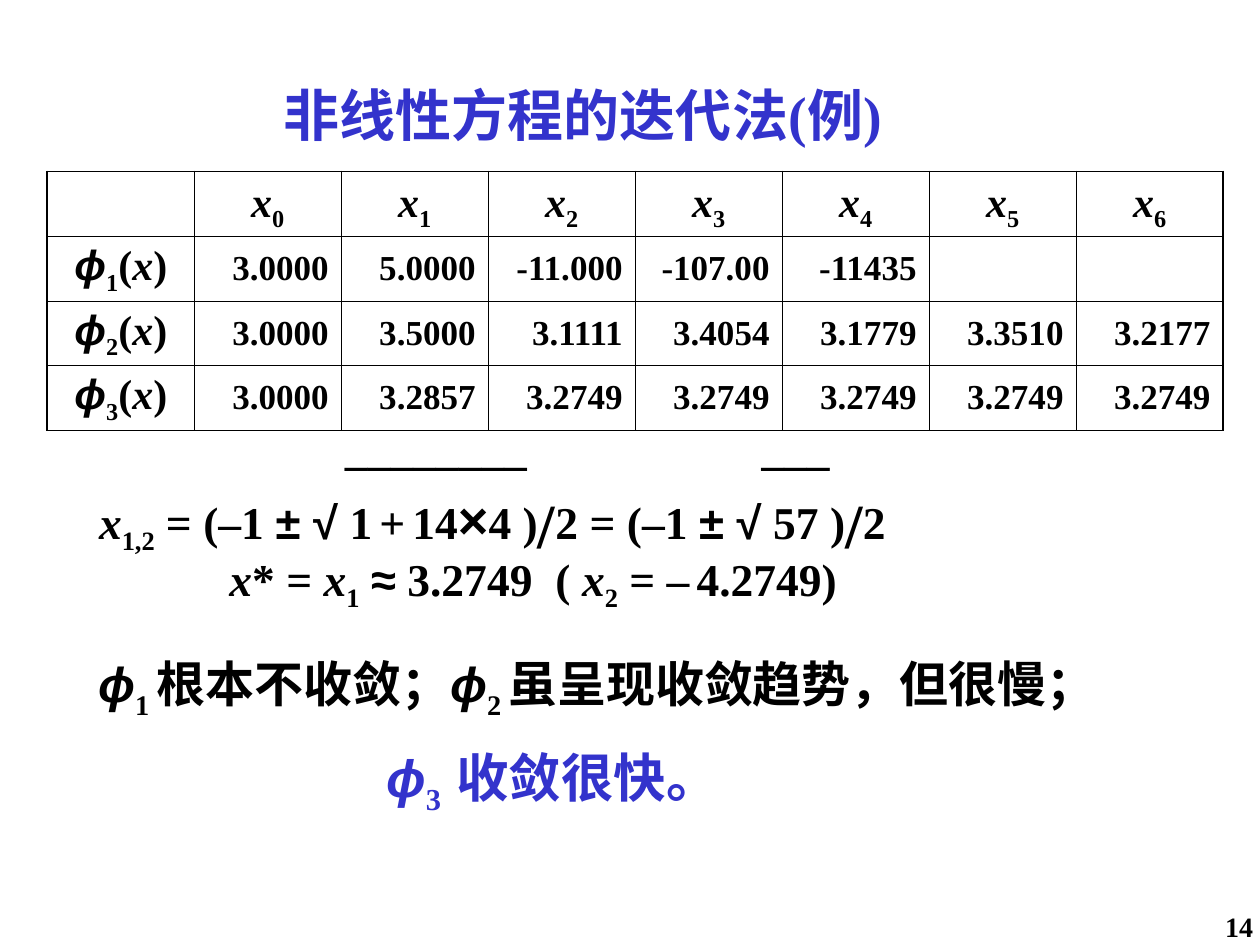
from dataclasses import dataclass

from lxml import etree
from pptx import Presentation
from pptx.dml.color import RGBColor
from pptx.enum.lang import MSO_LANGUAGE_ID
from pptx.enum.text import MSO_ANCHOR, MSO_AUTO_SIZE, PP_ALIGN
from pptx.oxml.ns import qn
from pptx.util import Pt

LEFT, CENTER, RIGHT = PP_ALIGN.LEFT, PP_ALIGN.CENTER, PP_ALIGN.RIGHT
TOP, MIDDLE = MSO_ANCHOR.TOP, MSO_ANCHOR.MIDDLE
NO_AUTOFIT = MSO_AUTO_SIZE.NONE
CHINESE = MSO_LANGUAGE_ID.SIMPLIFIED_CHINESE
TITLE_ONLY = 5


@dataclass(frozen=True)
class Theme:
    serif: str = "Times New Roman"
    sans: str = "Arial"
    ink: RGBColor = RGBColor(0, 0, 0)
    accent: RGBColor = RGBColor(0x33, 0x33, 0xCC)
    title: int = 32
    verdict: int = 30
    finding: int = 28
    formula: int = 26
    symbol: int = 24
    value: int = 20
    page: int = 16
    times_sign: int = 30
    slash: int = 62
    narrow_space: int = 16
    outer_line: float = 1.08
    inner_line: float = 0.45


THEME = Theme()


@dataclass(frozen=True)
class Span:
    """A piece of text; size None means the size of its line."""
    text: str
    italic: bool = False
    baseline: int = 0
    font: str = THEME.serif
    size: int | None = None


def sub(text):
    return Span(text, baseline=-25)


def sans(text, size=None):
    return Span(text, font=THEME.sans, size=size)


X = Span("x", italic=True)
PHI = Span("ϕ", italic=True, font=THEME.sans)
SLASH = Span("/", baseline=-8, size=THEME.slash)
NARROW_SPACE = Span(" ", size=THEME.narrow_space)

ITERATES = [
    ["3.0000", "5.0000", "-11.000", "-107.00", "-11435", "", ""],
    ["3.0000", "3.5000", "3.1111", "3.4054", "3.1779", "3.3510", "3.2177"],
    ["3.0000", "3.2857", "3.2749", "3.2749", "3.2749", "3.2749", "3.2749"],
]


def write(paragraph, spans, size, color=THEME.ink, align=LEFT, spacing=1.0):
    paragraph.alignment = align
    paragraph.line_spacing = spacing
    for span in spans:
        run = paragraph.add_run()
        run.text = span.text
        font = run.font
        font.name, font.size = span.font, Pt(span.size or size)
        font.bold, font.italic = True, span.italic
        font.color.rgb = color
        font.language_id = CHINESE
        if span.baseline:
            run._r.get_or_add_rPr().set("baseline", str(span.baseline * 1000))


def add_title(slide, text):
    title = slide.shapes.title
    title.left, title.top, title.width, title.height = Pt(155), Pt(47), Pt(434), Pt(36)
    frame = title.text_frame
    frame.auto_size, frame.word_wrap = NO_AUTOFIT, False
    frame.vertical_anchor = MIDDLE
    write(frame.paragraphs[0], [Span(text)], THEME.title, THEME.accent)


def add_line(slide, left, top, width, spans, size, color=THEME.ink):
    """Add one unwrapped line of text and return its paragraph."""
    box = slide.shapes.add_textbox(Pt(left), Pt(top), Pt(width), Pt(44))
    frame = box.text_frame
    frame.word_wrap = False
    frame.vertical_anchor = MIDDLE
    write(frame.paragraphs[0], spans, size, color, spacing=1.2)
    return frame.paragraphs[0]


def add_tab_stop(paragraph, position):
    stops = etree.SubElement(paragraph._p.get_or_add_pPr(), qn("a:tabLst"))
    etree.SubElement(stops, qn("a:tab"), pos=str(Pt(position)), algn="l")


def set_borders(cell, widths):
    """Draw left, right, top and bottom borders of the given widths."""
    properties = cell._tc.get_or_add_tcPr()
    for index, (side, width) in enumerate(zip("LRTB", widths)):
        line = etree.Element(qn(f"a:ln{side}"), w=str(Pt(width)))
        fill = etree.SubElement(line, qn("a:solidFill"))
        etree.SubElement(fill, qn("a:srgbClr"), val=str(THEME.ink))
        properties.insert(index, line)


def fill_cell(cell, row, column):
    paragraph = cell.text_frame.paragraphs[0]
    cell.vertical_anchor = TOP if row and not column else MIDDLE
    if row and column:
        value = ITERATES[row - 1][column - 1]
        if value:
            write(paragraph, [Span(value)], THEME.value, align=RIGHT)
    elif row:
        label = [PHI, sub(str(row)), Span("("), X, Span(")")]
        write(paragraph, label, THEME.symbol, align=CENTER, spacing=0.9)
    elif column:
        label = [X, sub(str(column - 1))]
        write(paragraph, label, THEME.symbol, align=CENTER, spacing=0.9)


def add_iterates_table(slide):
    rows, columns = len(ITERATES) + 1, len(ITERATES[0]) + 1
    row_height, column_width = 37, 84
    table = slide.shapes.add_table(
        rows, columns, Pt(27), Pt(98),
        Pt(columns * column_width), Pt(rows * row_height)).table
    table.first_row = table.horz_banding = False
    for row in range(rows):
        for column in range(columns):
            cell = table.cell(row, column)
            cell.fill.background()
            fill_cell(cell, row, column)
            on_edge = (column == 0, column == columns - 1, row == 0, row == rows - 1)
            set_borders(cell, [THEME.outer_line if edge else THEME.inner_line
                               for edge in on_edge])


def add_page_number(slide, number):
    box = slide.shapes.add_textbox(Pt(678), Pt(519), Pt(42), Pt(21))
    frame = box.text_frame
    frame.word_wrap = True
    frame.margin_left = frame.margin_right = Pt(4)
    frame.margin_top = frame.margin_bottom = Pt(1)
    write(frame.paragraphs[0], [Span(number)], THEME.page, align=RIGHT)


def main():
    deck = Presentation()
    deck.slide_width, deck.slide_height = Pt(720), Pt(540)
    slide = deck.slides.add_slide(deck.slide_layouts[TITLE_ONLY])

    add_page_number(slide, "14")
    add_title(slide, "非线性方程的迭代法(例)")

    add_line(slide, 124, 307, 372, [
        X, Span("* = "), X, sub("1"), Span(" "), sans("≈"), Span(" 3.2749  ( "),
        X, sub("2"), Span(" = –"), NARROW_SPACE, Span("4.2749)")], THEME.formula)
    add_line(slide, 42, 367, 620, [
        Span(" "), PHI, sub("1 "), Span("根本不收敛；"),
        PHI, sub("2 "), Span("虽呈现收敛趋势，但很慢；")], THEME.finding)
    add_line(slide, 43, 254, 486, [
        Span(" "), X, sub("1,2"), Span(" = (–1 "), sans("± √"),
        Span(" 1"), NARROW_SPACE, Span("+"), NARROW_SPACE, Span("14"),
        sans("×", THEME.times_sign), Span("4 )"), SLASH, Span("2 = (–1 "),
        sans("± √"), Span(" 57 )"), SLASH, Span("2")], THEME.formula)
    root_bars = add_line(slide, 190, 239, 315, [Span("––––––––\t–––")], THEME.formula)
    add_tab_stop(root_bars, 238)

    add_iterates_table(slide)
    add_line(slide, 206, 420, 204, [
        Span(" "), PHI, sub("3  "), Span("收敛很快。")], THEME.verdict, THEME.accent)

    deck.save("out.pptx")


if __name__ == "__main__":
    main()
